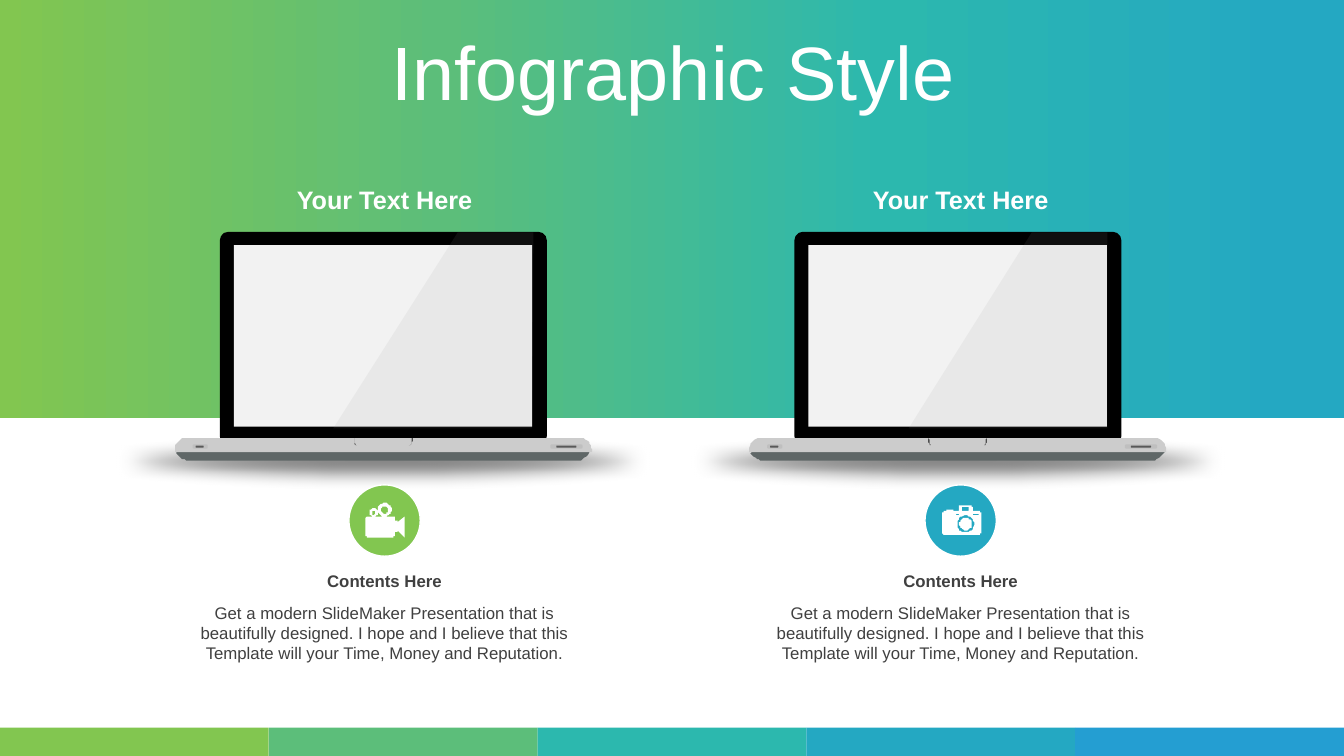
"""Build the two-laptop infographic slide."""
from math import cos, pi, sin

from lxml.etree import SubElement
from pptx import Presentation
from pptx.dml.color import RGBColor
from pptx.enum.shapes import MSO_SHAPE
from pptx.enum.text import MSO_ANCHOR, PP_ALIGN
from pptx.oxml.ns import qn
from pptx.util import Pt

GREEN = RGBColor(0x82, 0xC6, 0x50)
MINT = RGBColor(0x5C, 0xBE, 0x7A)
TEAL = RGBColor(0x2C, 0xB8, 0xAE)
CYAN = RGBColor(0x24, 0xA8, 0xC2)
BLUE = RGBColor(0x24, 0x9E, 0xD2)
WHITE = RGBColor(0xFF, 0xFF, 0xFF)
BLACK = RGBColor(0, 0, 0)
TEXT = RGBColor(0x40, 0x40, 0x40)
RIM = RGBColor(0x5F, 0x67, 0x67)
SCREEN = RGBColor(0xF2, 0xF2, 0xF2)
BASE = RGBColor(0xCC, 0xCC, 0xCC)
NOTCH = RGBColor(0x4D, 0x4D, 0x4D)
PORT = RGBColor(0xBF, 0xBF, 0xBF)
SLOT = RGBColor(0x59, 0x59, 0x59)
GLARE = RGBColor(0x99, 0x99, 0x99)
SHADOW = RGBColor(0x80, 0x80, 0x80)

FONT = "Arial"
TITLE = "Infographic Style"
HEADING = "Your Text Here"
SUBHEAD = "Contents Here"
BODY = ("Get a modern SlideMaker Presentation that is beautifully designed. "
        "I hope and I believe that this Template will your Time, Money and Reputation.")
STRIP = [GREEN, MINT, TEAL, CYAN, BLUE]
GRADIENT = [(0, GREEN), (33, MINT), (66, TEAL), (96, CYAN)]

VIDEO = """O -7.8 -5.4 1.3 O 0 -7.6 2.5
M 0 -12.6 C 2.7 -12.6 4.9 -10.4 4.9 -7.6 C 4.9 -5.6 3.7 -3.9 1.8 -3.2
L 5.4 -3.2 C 6.8 -3.2 7.7 -1.8 7.7 -0.4 L 7.7 0.4 L 9 0.4 C 9.6 0.4 9.8 0.7 9.8 1.1
L 14.1 -2.5 L 14.1 11.9 L 9.8 7.6 C 9.8 8 9.6 8.3 9 8.3 L 7.7 8.3 L 7.7 9.7
C 7.7 11.2 6.8 11.9 5.4 11.9 L -11.2 11.9 C -12.6 11.9 -14 11.2 -14 9.7
L -14 -0.4 C -14 -1.8 -12.6 -3.2 -11.2 -3.2 L -9 -3.2 C -10.2 -3.6 -11 -4.4 -11 -5.8
C -11 -7.5 -9.5 -8.8 -7.8 -8.8 C -6 -8.8 -4.7 -7.5 -4.7 -5.8
C -4.7 -4.4 -5.4 -3.6 -6.5 -3.2 L -2 -3.2 C -3.7 -3.9 -4.9 -5.6 -4.9 -7.6
C -4.9 -10.4 -2.7 -12.6 0 -12.6"""
CAMERA = """O 3.6 2.5 4.5 O 3.6 2.5 6.1
M -3.6 -5 L -3.6 -3.4 L -1.6 -3.4 L -1.6 -5 M 9 -5.2 L 9 -3.4 L 12.6 -3.4 L 12.6 -5.2
M 0.7 -9.4 L 0.7 -6.8 L 6.3 -6.8 L 6.3 -9.4
M -0.4 -10.6 L 7.6 -10.6 C 8 -10.6 8.4 -10.3 8.4 -9.9 L 8.4 -6.8 L 12.2 -6.8
C 13.6 -6.8 14.5 -6 14.5 -4.6 L 14.5 8.3 C 14.5 9.6 13.6 10.4 12.2 10.4
L -11.2 10.4 C -12.4 10.4 -13.3 9.6 -13.3 8.3 L -13.3 -4.6
C -13.3 -6 -12.4 -6.8 -11.2 -6.8 L -10.6 -6.8 C -10.6 -8 -10.4 -8.3 -9.7 -8.3
L -6.3 -8.3 C -5.6 -8.3 -5.4 -8 -5.4 -6.8 L -1.2 -6.8 L -1.2 -9.9
C -1.2 -10.3 -0.8 -10.6 -0.4 -10.6"""
RIM_OUTLINE = """M 139 329 C 139 329 144.7 328.3 147.6 323.3 C 147.6 321.8 146.2 320.4 144.7 320.4
L -144.7 321.8 C -146.2 321.8 -147.6 322.6 -147.6 324 C -145.4 327.6 -141.1 328.8 -139 329"""
BASE_OUTLINE = """M -141.5 313.2 L 141.5 313.2 C 146.2 313.2 149 316.8 149 321.1 L 149 322.6
C 149 323.5 148.5 323.5 146.2 323.3 L -146.2 323.3 C -148.5 323.5 -149 323.5 -149 322.6
L -149 321.1 C -149 316.8 -146.2 313.2 -141.5 313.2"""
NOTCH_OUTLINE = """M -20.9 313.2 L -20.3 313.9 C -20.3 313.9 -21.2 317.5 -18.7 318.2
C -22 317.5 -20.9 313.2 -20.9 313.2
M 20.9 313.2 L 20.3 313.9 C 20.3 313.9 21.2 317.5 18.7 318.2 C 22 317.5 20.9 313.2 20.9 313.2"""
GLARE_OUTLINE = "M 53.3 165.6 L 107 165.6 L 106.6 306 L -35.3 306"
PORTS = [(-136, 317.5, 10.8, 2.9, PORT), (-133.9, 318.3, 5.8, 1.4, SLOT),
         (119.5, 317.5, 23, 2.9, PORT), (123.8, 318.3, 14.4, 1.4, SLOT)]

LAPTOPS = [(273.6, 274.7, GREEN, VIDEO), (684, 686.2, CYAN, CAMERA)]

prs = Presentation()
prs.slide_width, prs.slide_height = Pt(960), Pt(540)
s = prs.slides.add_slide(prs.slide_layouts[5])


def paint(sp, color, alpha=100):
    sp.shadow.inherit = False
    sp.fill.solid()
    sp.fill.fore_color.rgb = color
    sp.line.fill.background()
    if alpha < 100:
        clr = sp.element.spPr.find(qn("a:solidFill"))[0]
        SubElement(clr, qn("a:alpha"), val=str(alpha * 1000))
    return sp


def shape(kind, x, y, w, h, color, adj=None):
    sp = s.shapes.add_shape(kind, Pt(x), Pt(y), Pt(w), Pt(h))
    if adj is not None:
        sp.adjustments[0] = adj
    return paint(sp, color)


def contours(outline):
    """Turn move, line, curve and circle commands into point lists."""
    tokens, found = iter(outline.split()), []
    for cmd in tokens:
        size = {"M": 2, "L": 2, "C": 6, "O": 3}[cmd]
        v = [float(next(tokens)) for _ in range(size)]
        if cmd == "M":
            found.append([tuple(v)])
        elif cmd == "L":
            found[-1].append(tuple(v))
        elif cmd == "O":
            found.append([(v[0] + v[2] * cos(k * pi / 16), v[1] + v[2] * sin(k * pi / 16))
                          for k in range(32)])
        else:
            start = found[-1][-1]
            for t in (k / 8 for k in range(1, 9)):
                weights = ((1 - t) ** 3, 3 * t * (1 - t) ** 2, 3 * t * t * (1 - t), t ** 3)
                found[-1].append(tuple(
                    sum(w * c for w, c in zip(weights, (start[i], *v[i::2]))) for i in (0, 1)))
    return found


def freeform(outline, cx, cy, color, alpha=100):
    loops = [[(cx + x, cy + y) for x, y in loop] for loop in contours(outline)]
    fb = s.shapes.build_freeform(*loops[0][0], scale=Pt(1))
    for i, loop in enumerate(loops):
        if i:
            fb.move_to(*loop[0])
        fb.add_line_segments(loop[1:], close=True)
    return paint(fb.convert_to_shape(), color, alpha)


def write(text, box=None, sp=None, size=12, color=TEXT, bold=False,
          anchor=MSO_ANCHOR.TOP, spacing=None):
    sp = sp or s.shapes.add_textbox(*map(Pt, box))
    tf = sp.text_frame
    tf.word_wrap, tf.vertical_anchor = True, anchor
    p = tf.paragraphs[0]
    p.alignment, p.line_spacing = PP_ALIGN.CENTER, spacing
    r = p.add_run()
    r.text = text
    r.font.name, r.font.size, r.font.bold = FONT, Pt(size), bold
    r.font.color.rgb = color


panel = shape(MSO_SHAPE.RECTANGLE, 0, 0, 960, 298.4, GREEN)
panel.fill.gradient()
panel.fill.gradient_angle = 0
stops = panel.element.spPr.find(qn("a:gradFill")).find(qn("a:gsLst"))
for old in list(stops):
    stops.remove(old)
for pos, color in GRADIENT:
    gs = SubElement(stops, qn("a:gs"), pos=str(pos * 1000))
    SubElement(gs, qn("a:srgbClr"), val=str(color))

for cx, *_ in LAPTOPS:
    sp = shape(MSO_SHAPE.OVAL, cx - 232.5, 309, 465, 41, SHADOW)
    SubElement(sp.element.spPr.find(qn("a:effectLst")), qn("a:softEdge"), rad=str(Pt(12)))

for cx, mid, color, icon in LAPTOPS:
    freeform(RIM_OUTLINE, cx, 0, RIM)
    shape(MSO_SHAPE.ROUNDED_RECTANGLE, cx - 116.6, 165.6, 233.6, 152, BLACK, 0.04)
    shape(MSO_SHAPE.RECTANGLE, cx - 106.6, 175, 213.2, 129.8, SCREEN)
    freeform(BASE_OUTLINE, cx, 0, BASE)
    freeform(NOTCH_OUTLINE, cx, 0, NOTCH)
    for x, y, w, h, gray in PORTS:
        shape(MSO_SHAPE.ROUNDED_RECTANGLE, cx + x, y, w, h, gray, 0.28)
    freeform(GLARE_OUTLINE, cx, 0, GLARE, 10)
    write(HEADING, (mid - 87.8, 128.2, 175.6, 29), size=18, color=WHITE, bold=True)
    write(BODY, (mid - 144.3, 427, 288.6, 51))
    write(SUBHEAD, (mid - 144.7, 404, 289.4, 21.6), bold=True)
    disc = shape(MSO_SHAPE.OVAL, mid - 25.5, 346.3, 51, 51, color)
    disc.line.color.rgb, disc.line.width = WHITE, Pt(1)
    freeform(icon, mid, 371.8, WHITE)

for i, color in enumerate(STRIP):
    shape(MSO_SHAPE.RECTANGLE, i * 192, 519.8, 192, 20.2, color)

title = s.shapes.title
title.left, title.top, title.width, title.height = Pt(25.2), Pt(25.5), Pt(911.5), Pt(57)
write(TITLE, sp=title, size=54, color=WHITE, anchor=MSO_ANCHOR.MIDDLE, spacing=0.9)
title.element.getparent().append(title.element)

prs.save("out.pptx")
